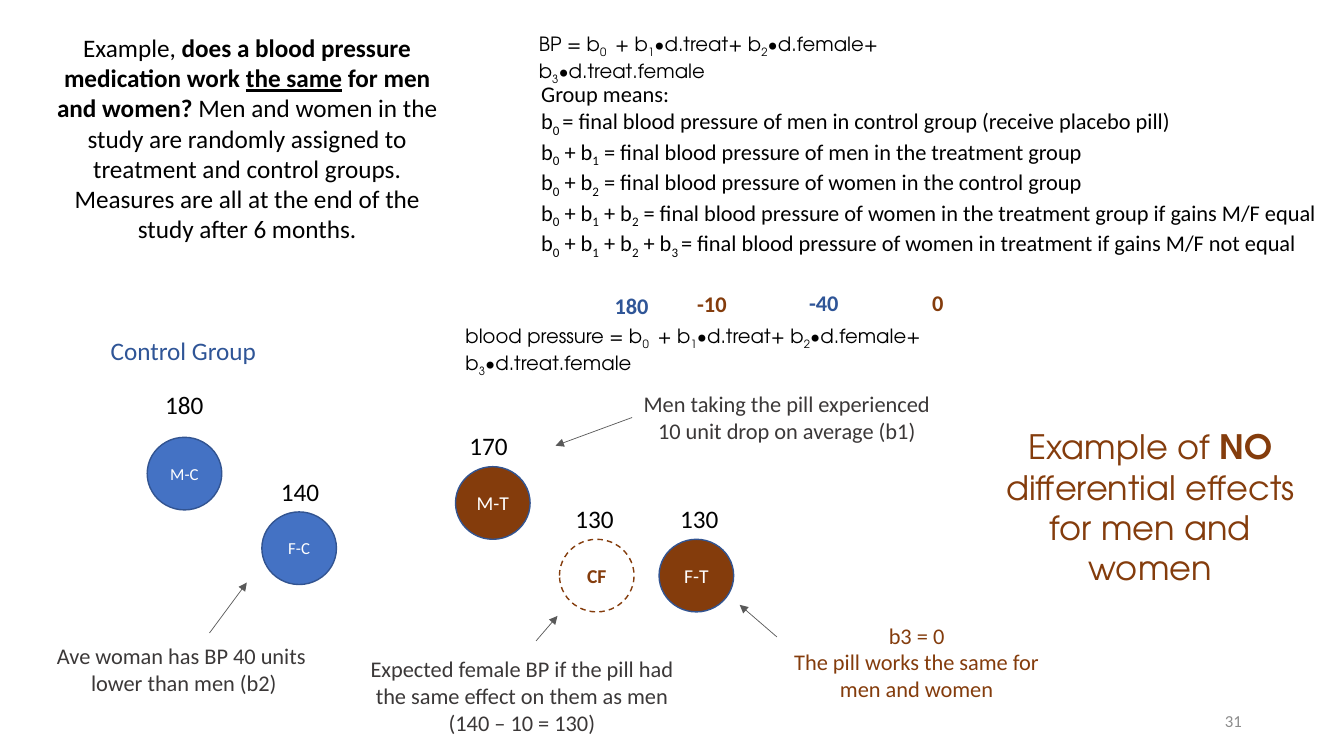
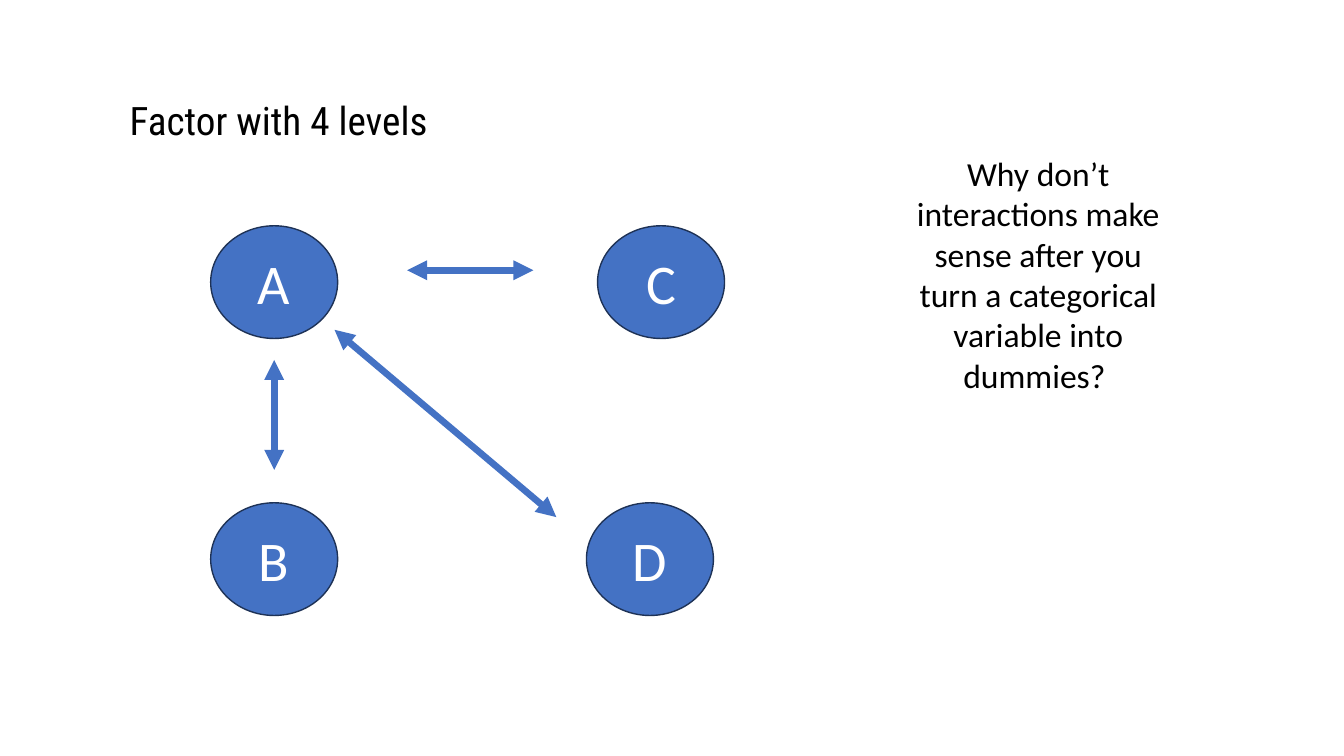
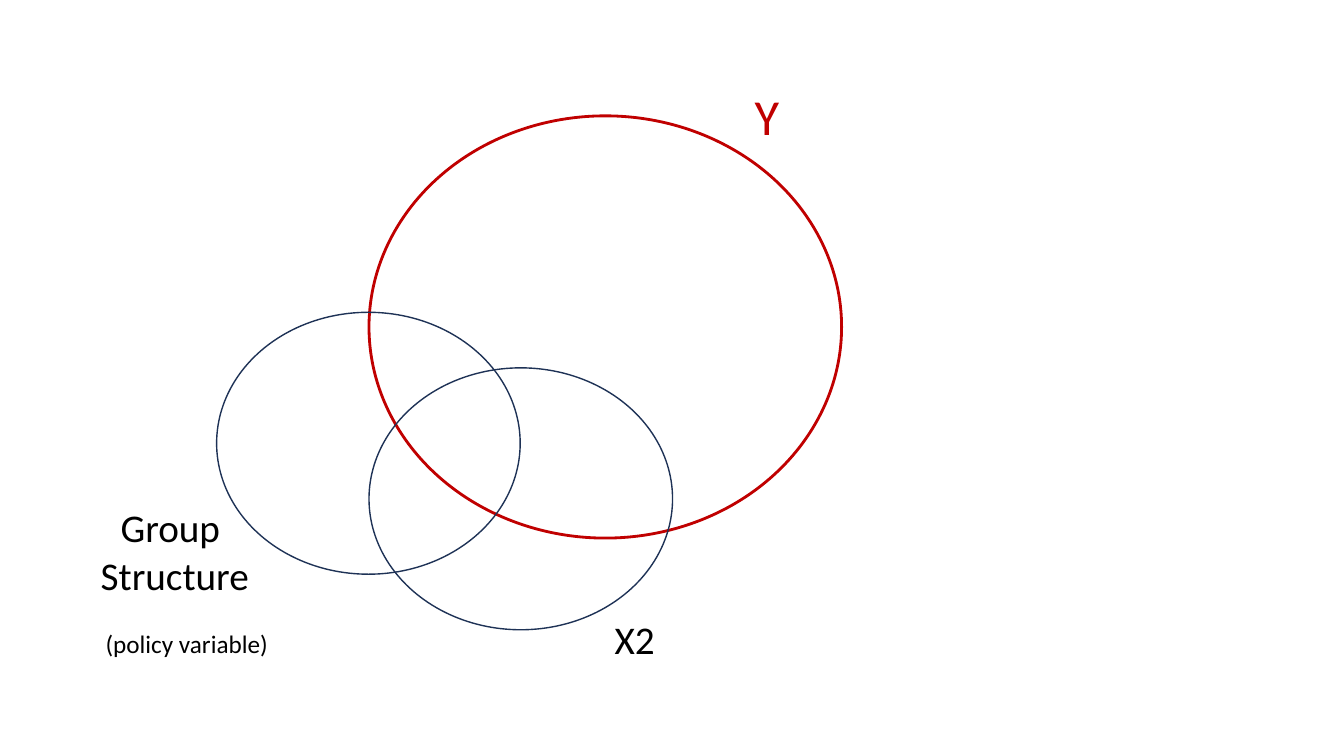
from dataclasses import dataclass
from typing import NamedTuple, Optional, Union

from lxml.etree import SubElement
from pptx import Presentation
from pptx.dml.color import RGBColor
from pptx.enum.dml import MSO_LINE
from pptx.enum.shapes import MSO_CONNECTOR, MSO_SHAPE
from pptx.enum.text import MSO_ANCHOR, MSO_AUTO_SIZE, PP_ALIGN
from pptx.oxml.ns import qn
from pptx.slide import Slide
from pptx.util import Cm, Pt

BLACK = RGBColor(0x00, 0x00, 0x00)
WHITE = RGBColor(0xFF, 0xFF, 0xFF)
BLUE = RGBColor(0x44, 0x72, 0xC4)
DEEP = RGBColor(0x2F, 0x55, 0x97)
EDGE = RGBColor(0x32, 0x54, 0x91)
NAVY = RGBColor(0x1E, 0x32, 0x56)
BROWN = RGBColor(0x84, 0x3C, 0x0C)
RED = RGBColor(0xC0, 0x00, 0x00)
DARK = RGBColor(0x3B, 0x38, 0x38)
GREY = RGBColor(0x59, 0x59, 0x59)
PALE = RGBColor(0x8C, 0x8C, 0x8C)

BODY = "Calibri"
MATH = "TeX Gyre Adventor"
HEAD = "Roboto Condensed"


class Run(NamedTuple):
    text: str
    bold: bool = False
    under: bool = False
    sub: bool = False


class Box(NamedTuple):
    """Left, top, width and height in centimetres."""
    x: float
    y: float
    w: float
    h: float


class Arrow(NamedTuple):
    x1: float
    y1: float
    x2: float
    y2: float


Line = Union[str, list[Run]]


@dataclass
class Style:
    size: float = 18
    color: RGBColor = BLACK
    font: str = BODY
    bold: bool = False
    align: PP_ALIGN = PP_ALIGN.LEFT
    wrap: bool = False


@dataclass
class Group:
    """A circle of the blood pressure chart and the mean above it."""
    name: str
    x: float
    y: float
    mean: str
    left: float
    top: float
    size: float = 14
    fill: Optional[RGBColor] = BROWN


def subs(text: str) -> list[Run]:
    """Split at bars; every second piece is a subscript."""
    return [Run(part, sub=i % 2 == 1) for i, part in enumerate(text.split("|"))]


def write(frame, lines: list[Line], style: Style) -> None:
    frame.word_wrap = style.wrap
    for i, line in enumerate(lines):
        para = frame.paragraphs[0] if i == 0 else frame.add_paragraph()
        para.alignment = style.align
        font = para.font
        font.name, font.size, font.bold = style.font, Pt(style.size), style.bold
        font.color.rgb = style.color
        for part in [Run(line)] if isinstance(line, str) else line:
            for j, piece in enumerate(part.text.split("\n")):
                if j:
                    para.add_line_break()
                run = para.add_run()
                run.text = piece
                if part.bold:
                    run.font.bold = True
                if part.under:
                    run.font.underline = True
                if part.sub:
                    run._r.get_or_add_rPr().set("baseline", "-25000")


def add_text(slide: Slide, box: Box, lines: list[Line], style: Style,
             anchor: MSO_ANCHOR = MSO_ANCHOR.TOP) -> None:
    frame = slide.shapes.add_textbox(*map(Cm, box)).text_frame
    frame.vertical_anchor = anchor
    if not style.wrap:
        frame.auto_size = MSO_AUTO_SIZE.SHAPE_TO_FIT_TEXT
    write(frame, lines, style)


def add_oval(slide: Slide, box: Box, fill: Optional[RGBColor], edge: RGBColor,
             width: float = 1, dash: bool = False, label: str = "",
             style: Optional[Style] = None) -> None:
    oval = slide.shapes.add_shape(MSO_SHAPE.OVAL, *map(Cm, box))
    oval.shadow.inherit = False
    if fill is None:
        oval.fill.background()
    else:
        oval.fill.solid()
        oval.fill.fore_color.rgb = fill
    oval.line.color.rgb = edge
    oval.line.width = Pt(width)
    if dash:
        oval.line.dash_style = MSO_LINE.DASH
    if style:
        oval.text_frame.vertical_anchor = MSO_ANCHOR.MIDDLE
        write(oval.text_frame, [label], style)


def add_arrow(slide: Slide, ends: Arrow, color: RGBColor, width: float,
              both: bool = False) -> None:
    link = slide.shapes.add_connector(MSO_CONNECTOR.STRAIGHT, *map(Cm, ends))
    link.line.color.rgb = color
    link.line.width = Pt(width)
    line = link.line._get_or_add_ln()
    for tag in ("a:headEnd", "a:tailEnd") if both else ("a:tailEnd",):
        SubElement(line, qn(tag)).set("type", "triangle")
    SubElement(link._element.spPr, qn("a:effectLst"))


def draw_groups(slide: Slide) -> None:
    mid = PP_ALIGN.CENTER
    means = [
        "Group means:",
        subs("b|0 |= final blood pressure of men in control group (receive placebo pill)"),
        subs("b|0| + b|1| = final blood pressure of men in the treatment group"),
        subs("b|0| + b|2| = final blood pressure of women in the control group"),
        subs("b|0| + b|1| + b|2| = final blood pressure of women in the "
             "treatment group if gains M/F equal"),
        subs("b|0| + b|1| + b|2| + b|3 |= final blood pressure of women in "
             "treatment if gains M/F not equal"),
    ]
    add_text(slide, Box(13.39, 1.9, 20.35, 4.83), means, Style(16))
    intro = [
        Run("Example, "),
        Run("does a blood pressure medication work ", bold=True),
        Run("the same", bold=True, under=True),
        Run(" for men and women? ", bold=True),
        Run("Men and women in the study are randomly assigned to treatment and "
            "control groups. Measures are all at the end of the study after 6 months."),
    ]
    add_text(slide, Box(0.97, 0.69, 10.52, 5.64), [intro], Style(align=mid, wrap=True))

    model = " = b|0 | + b|1|∙d.treat+ b|2|∙d.female+ b|3|∙d.treat.female"
    for name, box in (("BP", Box(13.33, 0.69, 13.06, 0.87)),
                      ("blood pressure", Box(11.48, 8.05, 15.95, 0.87))):
        add_text(slide, box, [subs(name + model)], Style(14, font=MATH, wrap=True))

    for text, x, y, w, color in (("180", 15.24, 7.24, 1.37, DEEP),
                                 ("-10", 17.32, 7.19, 1.4, BROWN),
                                 ("-40", 20.14, 7.16, 1.27, DEEP),
                                 ("0", 23.24, 7.16, 0.81, BROWN)):
        add_text(slide, Box(x, y, w, 0.94), [text], Style(16, color, bold=True))

    for item in (
        Group("M-C", 3.71, 11.02, "180", 3.91, 9.68, 12, BLUE),
        Group("F-C", 6.6, 12.9, "140", 6.83, 11.89, 12, BLUE),
        Group("M-T", 11.48, 11.76, "170", 11.58, 10.72),
        Group("CF", 14.1, 13.59, "130", 14.25, 12.57, fill=None),
        Group("F-T", 16.61, 13.59, "130", 16.89, 12.57),
    ):
        empty = item.fill is None
        style = Style(item.size, BROWN if empty else WHITE, bold=empty, align=mid)
        add_oval(slide, Box(item.x, item.y, 1.88, 1.83), item.fill,
                 BROWN if empty else EDGE, dash=empty, label=item.name, style=style)
        add_text(slide, Box(item.left, item.top, 1.5, 1.02), [item.mean], Style())

    for ends in (Arrow(5.28, 15.95, 6.22, 14.68), Arrow(15.93, 10.52, 14, 11.23),
                 Arrow(13.51, 16.15, 14.05, 15.52), Arrow(19.58, 16.05, 18.64, 15.24)):
        add_arrow(slide, ends, GREY, 0.5)

    note = Style(16, DARK, align=mid)
    add_text(slide, Box(1.14, 16.05, 6.99, 1.63),
             ["Ave woman has BP 40 units \nlower than men (b2)"], note)
    add_text(slide, Box(15.93, 9.7, 7.8, 1.63),
             ["Men taking the pill experienced\n10 unit drop on average (b1)"], note)
    add_text(slide, Box(8.71, 16.38, 8.89, 2.31),
             ["Expected female BP if the pill had the same effect on them as men "
              "(140 – 10 = 130)"], Style(16, DARK, align=mid, wrap=True))
    add_text(slide, Box(19.58, 15.54, 7.04, 2.31),
             ["b3 = 0", "The pill works the same for men and women"],
             Style(16, BROWN, align=mid, wrap=True))
    add_text(slide, Box(2.54, 8.33, 4.22, 1.02), ["Control Group"], Style(color=DEEP))
    claim = [Run("Example of "), Run("NO", bold=True),
             Run(" differential effects for men and women")]
    add_text(slide, Box(24.89, 10.62, 8.2, 4.37), [claim],
             Style(24, BROWN, MATH, align=mid, wrap=True))
    add_text(slide, Box(23.93, 17.65, 7.62, 1.02), ["31"],
             Style(12, PALE, align=PP_ALIGN.RIGHT, wrap=True), MSO_ANCHOR.MIDDLE)


def draw_levels(slide: Slide) -> None:
    style = Style(40, WHITE, align=PP_ALIGN.CENTER)
    for name, x, y in (("A", 5.31, 5.69), ("B", 5.31, 12.67),
                       ("C", 15.06, 5.69), ("D", 14.78, 12.67)):
        add_oval(slide, Box(x, y, 3.2, 2.84), BLUE, NAVY, label=name, style=style)
    for ends in (Arrow(6.91, 11.84, 6.91, 9.07), Arrow(10.26, 6.81, 13.44, 6.81),
                 Arrow(14.02, 13.03, 8.43, 8.31)):
        add_arrow(slide, ends, BLUE, 4.75, both=True)
    add_text(slide, Box(3.02, 2.29, 8.36, 1.45), ["Factor with 4 levels"],
             Style(28, font=HEAD))
    add_text(slide, Box(22.48, 3.73, 7.37, 6.4),
             ["Why don’t interactions make sense after you turn a categorical "
              "variable into dummies? "],
             Style(24, align=PP_ALIGN.CENTER, wrap=True))


def draw_venn(slide: Slide) -> None:
    add_oval(slide, Box(9.3, 2.92, 11.91, 10.64), None, RED, 2)
    for x, y in ((5.46, 7.87), (9.3, 9.27)):
        add_oval(slide, Box(x, y, 7.65, 6.6), None, NAVY)
    add_text(slide, Box(18.77, 2.03, 1.19, 1.8), ["Y"], Style(36, RED))
    add_text(slide, Box(15.24, 15.39, 1.6, 1.45), ["X2"], Style(28))
    add_text(slide, Box(2.13, 12.57, 4.55, 2.64), ["Group ", "Structure"],
             Style(28, align=PP_ALIGN.CENTER))
    add_text(slide, Box(2.41, 15.7, 4.65, 1.02), ["(policy variable)"], Style())


def main() -> None:
    deck = Presentation()
    deck.slide_width, deck.slide_height = Cm(33.87), Cm(19.05)
    blank = deck.slide_layouts[6]
    for draw in (draw_groups, draw_levels, draw_venn):
        draw(deck.slides.add_slide(blank))
    deck.save("out.pptx")


if __name__ == "__main__":
    main()
